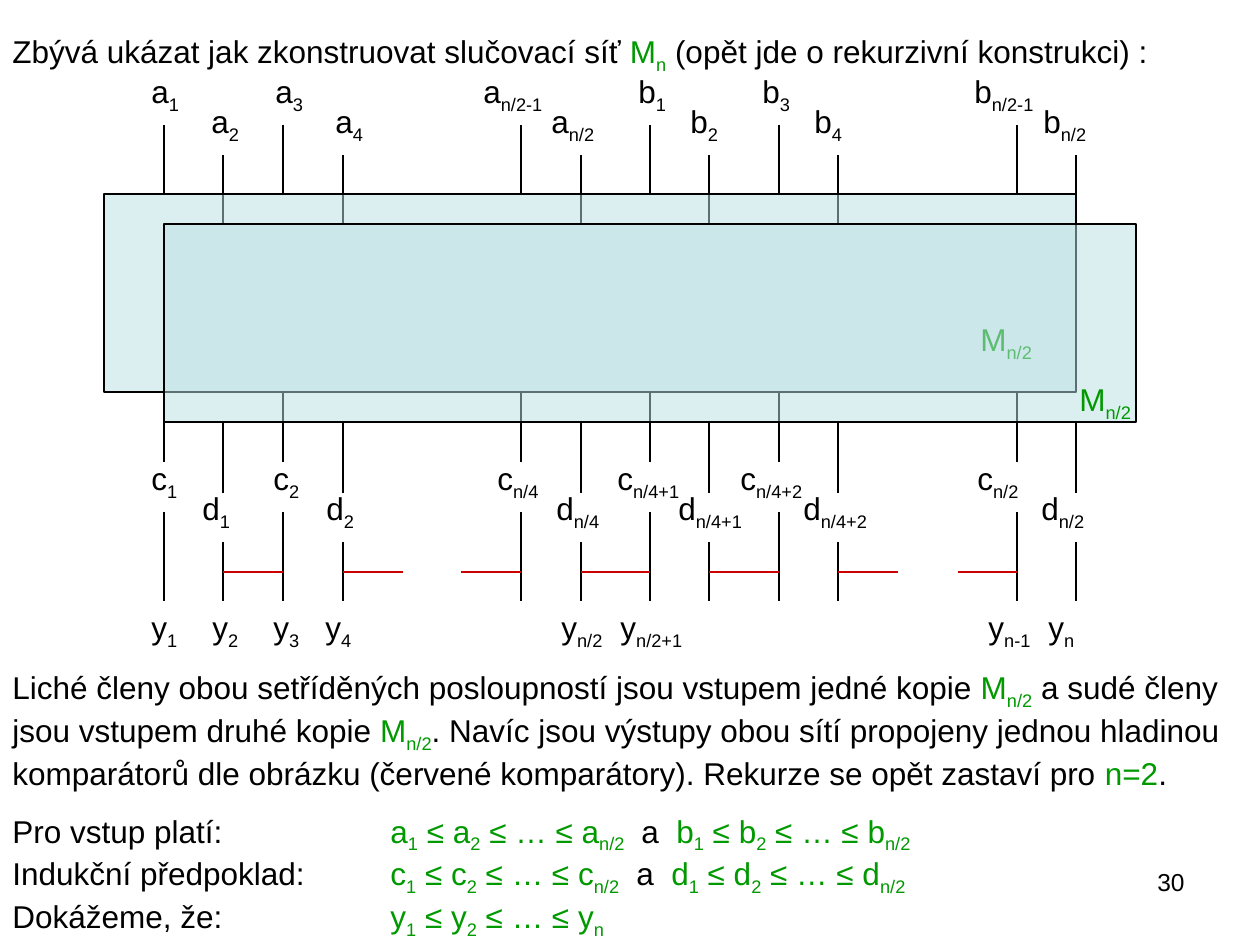
import lxml.etree
import pptx
import pptx.dml.color
import pptx.enum.shapes
import pptx.enum.text
import pptx.oxml.ns
import pptx.util

PX = 914400 // 126
INSET = 12
COLORS = {"ink": "000000", "green": "009900", "red": "CC0000", "block": "BBE0E3"}
ODD = [164, 283, 521, 650, 779, 1017]
EVEN = [223, 343, 581, 709, 838, 1076]
COMPARATORS = [(223, 283), (343, 403), (461, 521), (581, 650), (709, 779), (838, 898), (958, 1017)]
TEXT_HEIGHT = 55
BLOCK_WIDTH, BLOCK_HEIGHT = 972, 198


def rgb(name):
    """Return the named colour."""
    return pptx.dml.color.RGBColor.from_string(COLORS[name])


def add_line(slide, start, end, color="ink"):
    """Add a thin straight line between two points."""
    line = slide.shapes.add_connector(
        pptx.enum.shapes.MSO_CONNECTOR.STRAIGHT, *(value * PX for value in (*start, *end)))
    line.line.color.rgb = rgb(color)
    line.line.width = pptx.util.Pt(0.75)
    lxml.etree.SubElement(line._element.spPr, pptx.oxml.ns.qn("a:effectLst"))


def add_wires(slide, columns, top, bottom):
    """Add one vertical wire in each column."""
    for x in columns:
        add_line(slide, (x, top), (x, bottom))


def add_tabs(para, stops):
    """Give a paragraph left tab stops, measured from the text edge."""
    tab_list = lxml.etree.SubElement(para._p.get_or_add_pPr(), pptx.oxml.ns.qn("a:tabLst"))
    for stop in stops:
        lxml.etree.SubElement(
            tab_list, pptx.oxml.ns.qn("a:tab"), pos=str(stop * PX), algn="l")


def fill_paragraph(para, markup, stops=(), size=18):
    """Write text in which * switches green and ~ switches subscript."""
    if stops:
        add_tabs(para, stops)
    para.font.name = "Arial"
    para.font.size = pptx.util.Pt(size)
    for green, part in enumerate(markup.split("*")):
        for lowered, text in enumerate(part.split("~")):
            if not text:
                continue
            span = para.add_run()
            span.text = text
            span.font.color.rgb = rgb("green" if green % 2 else "ink")
            if lowered % 2:
                span._r.get_or_add_rPr().set("baseline", "-25000")


def add_text(slide, left, top, width, height, markup, stops=(), size=18):
    """Add a wrapping text box with one paragraph and return its frame."""
    box = slide.shapes.add_textbox(left * PX, top * PX, width * PX, height * PX)
    frame = box.text_frame
    frame.word_wrap = True
    fill_paragraph(frame.paragraphs[0], markup, stops, size)
    return frame


def add_label_row(slide, left, top, width, letters, indices, positions):
    """Add a row of indexed letters, each placed by a tab stop."""
    markup = "".join(f"\t{letter}~{index}~" for letter, index in zip(letters, indices))
    stops = [x - left - INSET for x in positions]
    add_text(slide, left, top, width, TEXT_HEIGHT, markup, stops)


def add_block(slide, left, top, label_left, label_top):
    """Add a half-transparent merging network with its name."""
    block = slide.shapes.add_shape(
        pptx.enum.shapes.MSO_SHAPE.RECTANGLE,
        left * PX, top * PX, BLOCK_WIDTH * PX, BLOCK_HEIGHT * PX)
    block.shadow.inherit = False
    block.fill.solid()
    block.fill.fore_color.rgb = rgb("block")
    color = block._element.spPr.find(".//" + pptx.oxml.ns.qn("a:srgbClr"))
    lxml.etree.SubElement(color, pptx.oxml.ns.qn("a:alpha"), val="50000")
    block.line.color.rgb = rgb("ink")
    block.line.width = pptx.util.Pt(0.75)
    add_text(slide, label_left, label_top, 89, TEXT_HEIGHT, "*M~n/2~*")


def add_network(slide):
    """Draw both half-size networks with their inputs and outputs."""
    halves = ["n/4", "n/4+1", "n/4+2", "n/2"]
    add_wires(slide, EVEN, 155, 224)
    add_wires(slide, EVEN, 423, 493)
    add_label_row(slide, 164, 96, BLOCK_WIDTH, "aaabbb", ["2", "4", "n/2"] * 2,
                  [211, 335, 551, 690, 814, 1043])
    add_label_row(slide, 164, 483, BLOCK_WIDTH, "dddddd", ["1", "2", *halves],
                  [202, 326, 556, 678, 803, 1041])
    add_block(slide, 104, 194, 968, 314)
    add_wires(slide, ODD, 125, 194)
    add_wires(slide, ODD, 393, 462)
    add_label_row(slide, 104, 66, BLOCK_WIDTH, "aaabbb", ["1", "3", "n/2-1"] * 2,
                  [151, 275, 483, 638, 762, 974])
    add_label_row(slide, 104, 453, BLOCK_WIDTH, "cccccc", ["1", "2", *halves],
                  [151, 273, 497, 617, 740, 977])
    add_block(slide, 164, 224, 1067, 374)


def add_outputs(slide):
    """Draw the comparator level and the sorted outputs."""
    add_wires(slide, ODD, 512, 601)
    add_wires(slide, EVEN, 542, 601)
    for left, right in COMPARATORS:
        add_line(slide, (left, 572), (right, 572), "red")
    add_label_row(slide, 104, 602, 1032, "yyyyyyyy",
                  ["1", "2", "3", "4", "n/2", "n/2+1", "n-1", "n"],
                  [151, 212, 273, 325, 561, 620, 988, 1048])


def add_explanation(slide):
    """Add the explanation and the aligned list of relations."""
    frame = add_text(
        slide, 0, 662, 1260, 285,
        "Liché členy obou setříděných posloupností jsou vstupem jedné kopie *M~n/2~* "
        "a sudé členy jsou vstupem druhé kopie *M~n/2~*. Navíc jsou výstupy obou sítí "
        "propojeny jednou hladinou komparátorů dle obrázku (červené komparátory). "
        "Rekurze se opět zastaví pro *n=2*.")
    relations = [
        ("Pro vstup platí:\t*a~1~ ≤ a~2~ ≤ … ≤ a~n/2~*\ta\t*b~1~ ≤ b~2~ ≤ … ≤ b~n/2~*",
         [378, 629, 664]),
        ("Indukční předpoklad:\t*c~1~ ≤ c~2~ ≤ … ≤ c~n/2~*\ta\t*d~1~ ≤ d~2~ ≤ … ≤ d~n/2~*",
         [378, 624, 659]),
        ("Dokážeme, že:\t*y~1~ ≤ y~2~ ≤ … ≤ y~n~*", [378]),
    ]
    for markup, stops in relations:
        fill_paragraph(frame.add_paragraph(), markup, stops)
    frame.paragraphs[1].space_before = pptx.util.Pt(11.2)


def main():
    """Build the slide and save the deck."""
    deck = pptx.Presentation()
    deck.slide_width = pptx.util.Inches(10)
    deck.slide_height = pptx.util.Inches(7.5)
    slide = deck.slides.add_slide(deck.slide_layouts[6])
    add_text(slide, 0, 26, 1260, 113,
             "Zbývá ukázat jak zkonstruovat slučovací síť *M~n~* (opět jde o rekurzivní konstrukci) :")
    add_network(slide)
    add_outputs(slide)
    add_explanation(slide)
    number = add_text(slide, 903, 861, 294, 66, "30", size=14)
    number.paragraphs[0].alignment = pptx.enum.text.PP_ALIGN.RIGHT
    deck.save("out.pptx")


if __name__ == "__main__":
    main()
